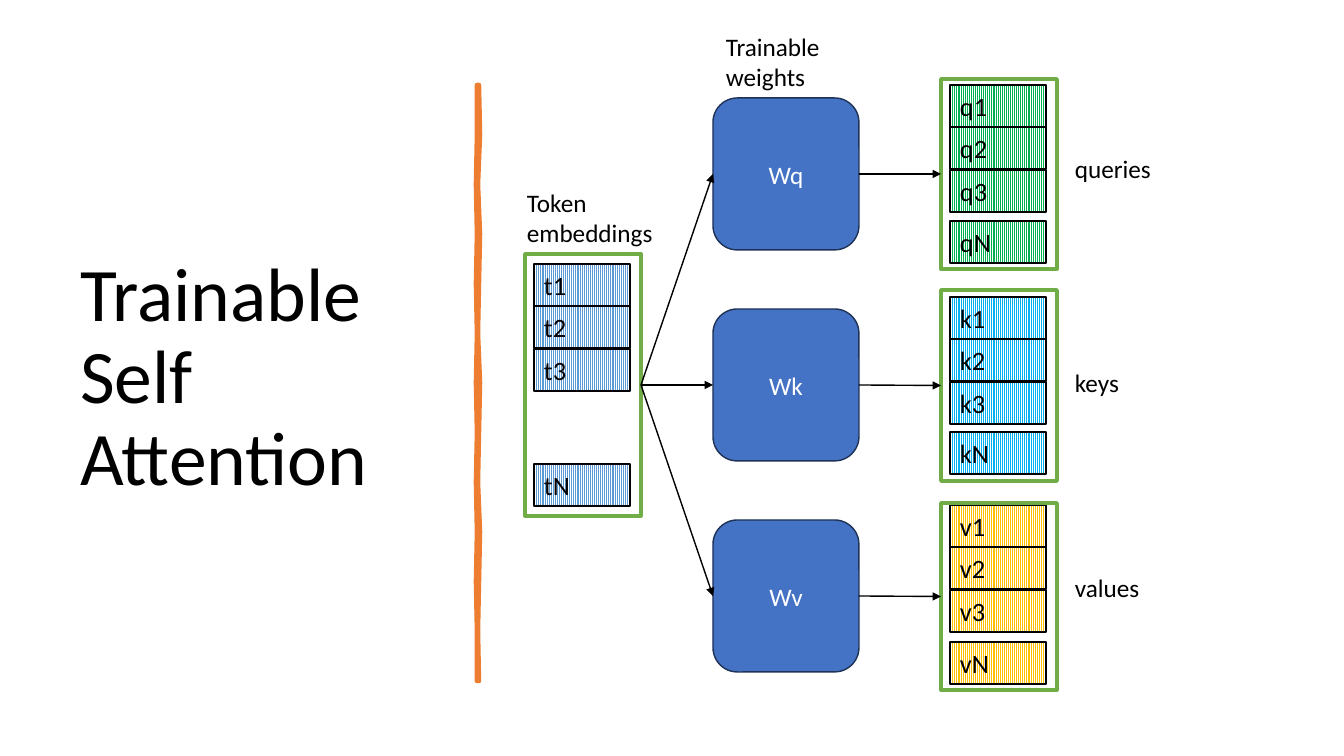
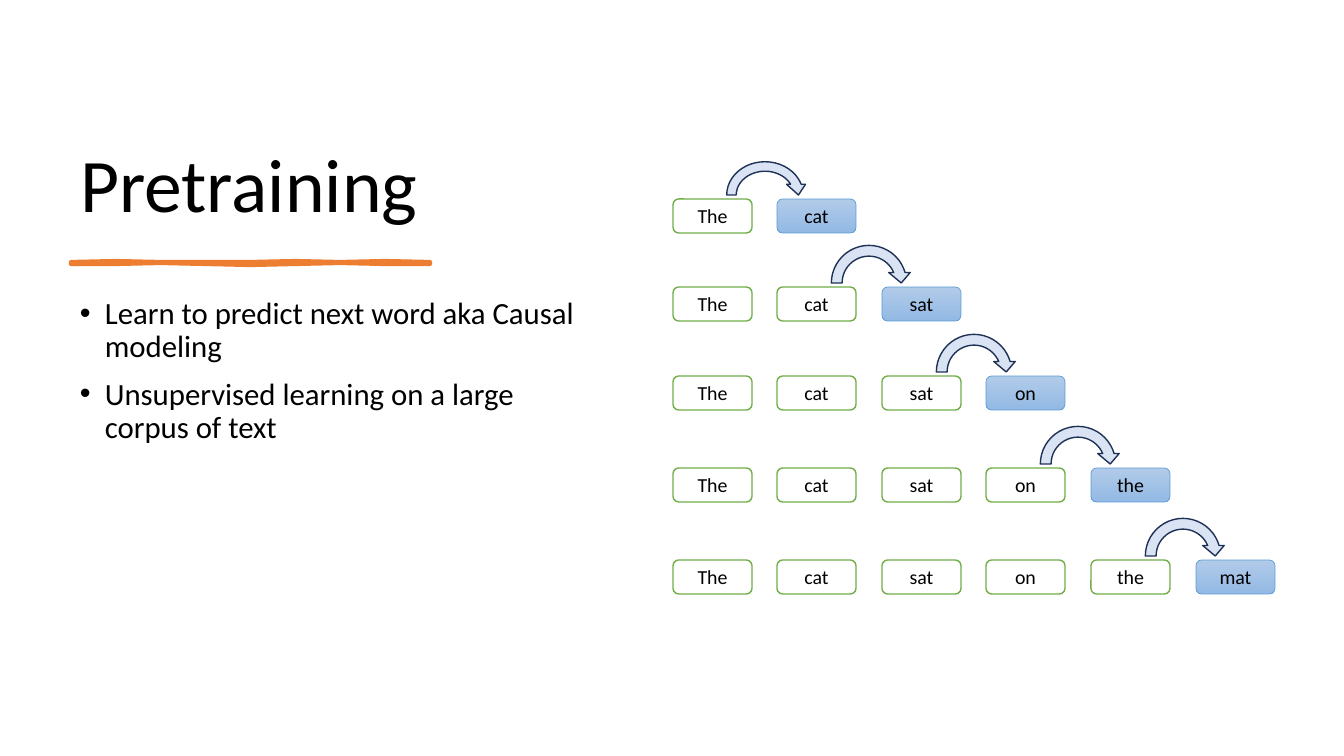
from dataclasses import dataclass

from lxml import etree
from pptx import Presentation
from pptx import util as u
from pptx.dml.color import RGBColor
from pptx.enum import dml, shapes, text
from pptx.oxml.ns import qn

SCALE = 914400 / 100.8  # EMU in one px
FONT = "Calibri"
HUES = {
    "ink": "000000", "paper": "FFFFFF", "brush": "ED7D31", "blue": "4472C4",
    "navy": "1E3256", "green": "70AD47", "sky": "5B9BD5", "pale": "DAE3F3",
    "light": "B1CBE9", "deep": "93B9E4",
    "query": "00B050", "key": "00B0F0", "value": "FFC000",
}
KIND = shapes.MSO_SHAPE
ALIGN = text.PP_ALIGN
ANCHOR = text.MSO_ANCHOR


@dataclass
class Box:
    x: int
    y: int
    w: int
    h: int


@dataclass
class Stack:
    """A framed pile of vectors: three on top of each other, then the last."""
    frame: Box
    top: int
    last: int
    letter: str
    hue: str


@dataclass
class Label:
    x: int
    y: int
    lines: tuple[str, ...]


def px(n: float) -> u.Emu:
    return u.Emu(round(n * SCALE))


def hue(name: str) -> RGBColor:
    return RGBColor.from_string(HUES[name])


def place(box: Box) -> tuple[u.Emu, ...]:
    return px(box.x), px(box.y), px(box.w), px(box.h)


def style(para, size: float, color: str = "ink", align=ALIGN.LEFT) -> None:
    para.alignment = align
    para.font.name = FONT
    para.font.size = u.Pt(size)
    para.font.color.rgb = hue(color)


def shape(slide, kind, box: Box, fill: str = "", line: str = "ink", width: float = 1):
    """Add a preset shape, unfilled if no fill is named."""
    item = slide.shapes.add_shape(kind, *place(box))
    item.shadow.inherit = False
    if fill:
        item.fill.solid()
        item.fill.fore_color.rgb = hue(fill)
    else:
        item.fill.background()
    item.line.color.rgb = hue(line)
    item.line.width = u.Pt(width)
    return item


def write(item, words: str, size: float, color: str = "ink",
          align=ALIGN.CENTER, anchor=ANCHOR.MIDDLE) -> None:
    frame = item.text_frame
    frame.vertical_anchor = anchor
    frame.text = words
    style(frame.paragraphs[0], size, color, align)


def title(deck, words: str, box: Box, anchor):
    """Start a slide with its title."""
    slide = deck.slides.add_slide(deck.slide_layouts[5])
    head = slide.shapes.title
    head.left, head.top, head.width, head.height = place(box)
    head.text_frame.auto_size = text.MSO_AUTO_SIZE.NONE
    head.text_frame.word_wrap = True
    write(head, words, 54, align=ALIGN.LEFT, anchor=anchor)
    head.text_frame.paragraphs[0].line_spacing = 0.9
    return slide


def brush(slide, x: int, y: int, size: int, near: tuple, far: tuple,
          width: float, upright: bool = False) -> None:
    """Draw a wavy stroke from the offsets of its two edges."""
    step = size / (len(near) - 1)
    edge = [(i * step, off) for i, off in enumerate(near)]
    edge += [(i * step, off) for i, off in enumerate(far)][::-1]
    dots = [(px(x + off), px(y + run)) if upright else (px(x + run), px(y + off))
            for run, off in edge]
    pen = slide.shapes.build_freeform(*dots[0])
    pen.add_line_segments(dots[1:], close=True)
    item = pen.convert_to_shape()
    item.shadow.inherit = False
    item.fill.solid()
    item.fill.fore_color.rgb = hue("brush")
    item.line.color.rgb = hue("brush")
    item.line.width = u.Pt(width)


def arrow(slide, start, end) -> None:
    """Join the right side of one shape to the left side of another."""
    item = slide.shapes.add_connector(shapes.MSO_CONNECTOR.STRAIGHT, 0, 0, 0, 0)
    item.begin_connect(start, 3)
    item.end_connect(end, 1)
    item.line.color.rgb = hue("ink")
    item.line.width = u.Pt(1)
    props = item.element.spPr
    etree.SubElement(props.find(qn("a:ln")), qn("a:tailEnd"), type="triangle")
    etree.SubElement(props, qn("a:effectLst"))


def pile(slide, stack: Stack):
    """Draw a stack and return its frame."""
    tops = [stack.top + i * 85 // 2 for i in range(3)] + [stack.last]
    for mark, y in zip("123N", tops):
        cell = shape(slide, KIND.RECTANGLE, Box(stack.frame.x + 9, y, 96, 42))
        cell.fill.patterned()
        cell.fill.pattern = dml.MSO_PATTERN.LIGHT_VERTICAL
        cell.fill.fore_color.rgb = hue(stack.hue)
        cell.fill.back_color.rgb = hue("paper")
        write(cell, stack.letter + mark, 18.9, align=ALIGN.LEFT, anchor=ANCHOR.TOP)
    return shape(slide, KIND.RECTANGLE, stack.frame, line="green", width=2.5)


def label(slide, item: Label) -> None:
    box = Box(item.x, item.y, 170, 10 + 30 * len(item.lines))
    frame = slide.shapes.add_textbox(*place(box)).text_frame
    frame.word_wrap = True
    frame.text = "\n".join(item.lines)
    for para in frame.paragraphs:
        style(para, 18)


def bullets(slide, box: Box, lines: tuple[str, ...]) -> None:
    frame = slide.shapes.add_textbox(*place(box)).text_frame
    frame.word_wrap = True
    frame.text = "\n".join(lines)
    for i, para in enumerate(frame.paragraphs):
        props = para._p.get_or_add_pPr()
        props.set("marL", str(px(25)))
        props.set("indent", str(px(-25)))
        etree.SubElement(props, qn("a:buFont"), typeface="Arial")
        etree.SubElement(props, qn("a:buChar"), char="•")
        para.line_spacing = 0.9
        if i:
            para.space_before = u.Pt(10)
        style(para, 22)


def token(slide, x: int, y: int, word: str, guess: bool) -> None:
    """Draw a word box, shaded when the word is the predicted one."""
    box = Box(x, y, 79, 34)
    if guess:
        item = shape(slide, KIND.ROUNDED_RECTANGLE, box, line="sky", width=0.5)
        item.fill.gradient()
        item.fill.gradient_angle = 270
        for stop, name in zip(item.fill.gradient_stops, ("light", "deep")):
            stop.color.rgb = hue(name)
    else:
        item = shape(slide, KIND.ROUNDED_RECTANGLE, box, "paper", "green")
    write(item, word, 14.2)


TOKENS = Stack(Box(525, 254, 116, 262), 264, 464, "t", "sky")
OUTS = (
    Stack(Box(941, 79, 116, 190), 85, 221, "q", "query"),
    Stack(Box(941, 290, 116, 191), 297, 432, "k", "key"),
    Stack(Box(941, 503, 116, 187), 505, 642, "v", "value"),
)
LABELS = (
    Label(517, 182, ("Token", "embeddings")),
    Label(716, 26, ("Trainable", "weights")),
    Label(1065, 148, ("queries",)),
    Label(1065, 362, ("keys",)),
    Label(1065, 567, ("values",)),
)
WORDS = ("The", "cat", "sat", "on", "the", "mat")
ROWS = (199, 287, 376, 468, 560)


def attention(deck) -> None:
    slide = title(deck, "Trainable Self Attention", Box(70, 71, 377, 616), ANCHOR.MIDDLE)
    brush(slide, 477, 85, 596,
          (0, 0, -1, 0, -1, 0, -1, 0, -1, 0, -1, 0, 0),
          (2, 3, 1, 3, 2, 1, 3, 2, 1, 3, 2, 1, 2), 3.25, upright=True)
    source = pile(slide, TOKENS)
    for i, stack in enumerate(OUTS):
        weight = shape(slide, KIND.ROUNDED_RECTANGLE,
                       Box(713, 98 + 211 * i, 146, 152), "blue", "navy")
        write(weight, "W" + stack.letter, 18, "paper")
        arrow(slide, source, weight)
        arrow(slide, weight, pile(slide, stack))
    for item in LABELS:
        label(slide, item)


def training(deck) -> None:
    slide = title(deck, "Pretraining", Box(70, 71, 531, 163), ANCHOR.BOTTOM)
    brush(slide, 71, 262, 359,
          (0, -1, 0, 0, 0, -1, 0, -1, 0), (2, 2, 1, 2, 3, 2, 1, 2, 2), 3)
    bullets(slide, Box(70, 293, 531, 391), (
        "Learn to predict next word aka Causal modeling",
        "Unsupervised learning on a large corpus of text",
    ))
    # Each row adds one word and predicts the next
    lefts = [673 + 523 * i // 5 for i in range(len(WORDS))]
    for n, y in enumerate(ROWS):
        for i, word in enumerate(WORDS[:n + 2]):
            token(slide, lefts[i], y, word, i > n)
        tall = 86 if n else 76
        shape(slide, KIND.CIRCULAR_ARROW,
              Box(lefts[n] + 49, y - 4 - tall // 2, 86, tall), "pale", "navy")


def main() -> None:
    deck = Presentation()
    deck.slide_width, deck.slide_height = px(1344), px(756)
    attention(deck)
    training(deck)
    deck.save("out.pptx")


if __name__ == "__main__":
    main()
